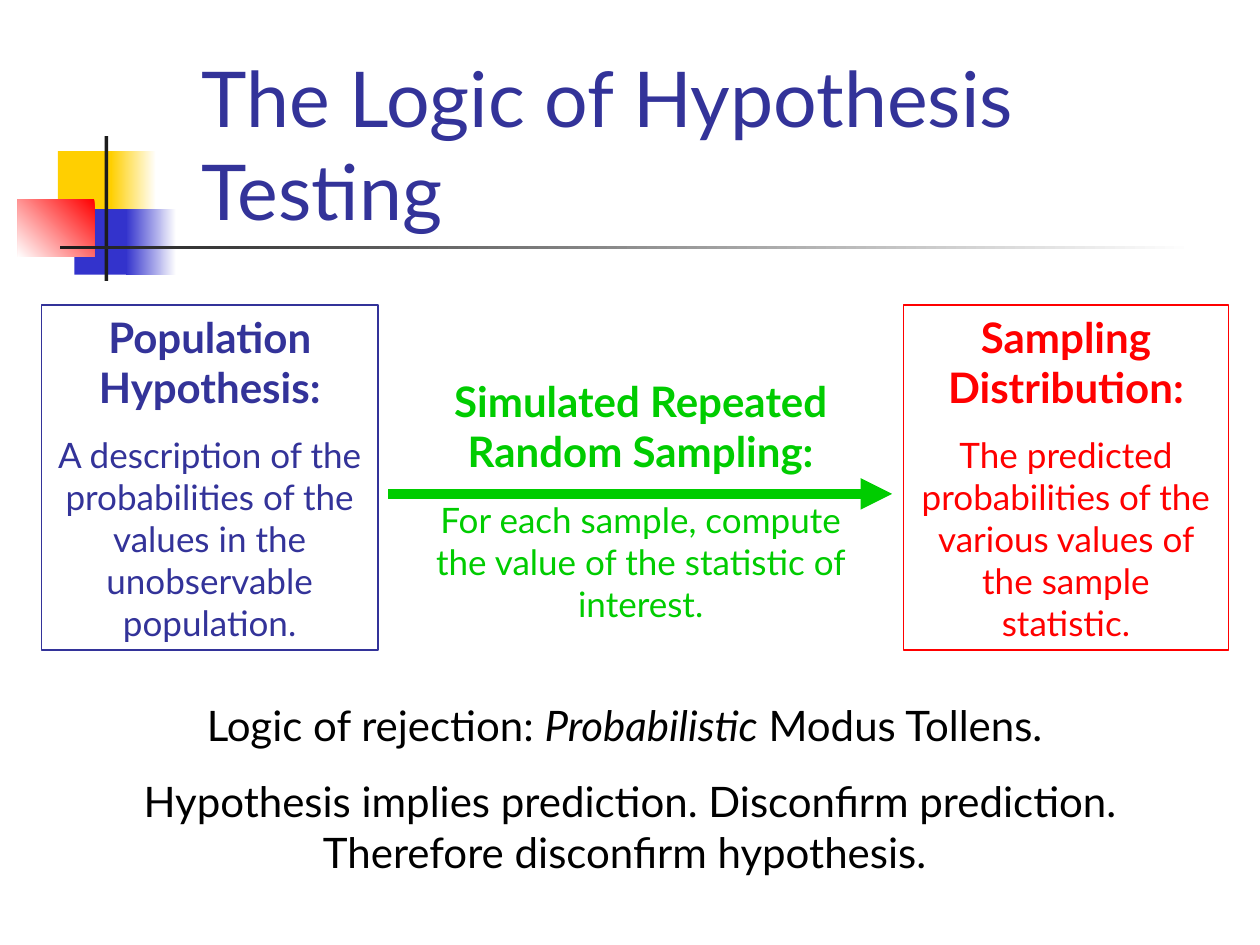
import pptx
import pptx.util
import pptx.dml.color
import pptx.enum.shapes
import pptx.enum.text
import pptx.oxml
import pptx.oxml.ns

Inches = pptx.util.Inches
Pt = pptx.util.Pt
RGBColor = pptx.dml.color.RGBColor
RECTANGLE = pptx.enum.shapes.MSO_SHAPE.RECTANGLE

FONT = "Lato"
INDIGO = RGBColor(0x33, 0x33, 0x99)
GREEN = RGBColor(0x00, 0xCC, 0x00)
RED = RGBColor(0xFF, 0x00, 0x00)
BLACK = RGBColor(0x00, 0x00, 0x00)
WHITE = RGBColor(0xFF, 0xFF, 0xFF)
YELLOW = RGBColor(0xFF, 0xCF, 0x01)
BLUE = RGBColor(0x33, 0x33, 0xCC)
CHARCOAL = RGBColor(0x1C, 0x1C, 0x1C)

TITLE = "The Logic of Hypothesis Testing"

# left, top, width, height; colours (one is solid, two a gradient); clockwise angle
ORNAMENTS = [
    ((0.46, 1.2, 0.48, 0.52), [YELLOW], 0),
    ((0.88, 1.2, 0.36, 0.52), [WHITE, YELLOW], 180),
    ((0.59, 1.66, 0.46, 0.52), [BLUE], 0),
    ((1, 1.66, 0.4, 0.52), [WHITE, BLUE], 180),
    ((0.14, 1.58, 0.61, 0.46), [RED, WHITE], 135),
    ((0.83, 1.08, 0.03, 1.15), [CHARCOAL], 0),
    ((0.48, 1.95, 9, 0.03), [WHITE, CHARCOAL], 180),
]

# place, colour, framed, heading, explanation
STEPS = [
    ((0.33, 2.42, 2.67, 2.74), INDIGO, True, "Population Hypothesis:",
     "A description of the probabilities of the values in the unobservable population."),
    ((3.25, 2.93, 3.67, 2.08), GREEN, False, "Simulated Repeated Random Sampling:",
     "For each sample, compute the value of the statistic of interest."),
    ((7.17, 2.42, 2.58, 2.74), RED, True, "Sampling Distribution:",
     "The predicted probabilities of the various values of the sample statistic."),
]
ARROW = (3.08, 3.92, 7.08, 3.92)

CONCLUSION_PLACE = (0.5, 5.5, 9, 1.51)
# paragraphs of (text, italic) runs
CONCLUSION = [
    [("Logic of rejection: ", False), ("Probabilistic", True), (" Modus Tollens. ", False)],
    [("Hypothesis implies prediction. Disconfirm prediction. "
      "Therefore disconfirm hypothesis. ", False)],
]


def inches(place):
    return [Inches(length) for length in place]


def add_run(paragraph, text, size, color, bold=False, italic=False):
    run = paragraph.add_run()
    run.text = text
    run.font.name = FONT
    run.font.size = Pt(size)
    run.font.color.rgb = color
    run.font.bold = bold
    run.font.italic = italic


def add_ornament(slide, place, colors, angle):
    ornament = slide.shapes.add_shape(RECTANGLE, *inches(place))
    ornament.shadow.inherit = False
    ornament.line.fill.background()
    if len(colors) == 1:
        ornament.fill.solid()
        ornament.fill.fore_color.rgb = colors[0]
        return
    ornament.fill.gradient()
    ornament.fill.gradient_angle = 360 - angle
    for stop, color in zip(ornament.fill.gradient_stops, colors):
        stop.color.rgb = color


def add_text_block(slide, place, paragraphs, frame_color=None):
    """Add centred text; paragraphs holds (space before, list of add_run arguments)."""
    if frame_color is None:
        block = slide.shapes.add_textbox(*inches(place))
    else:
        block = slide.shapes.add_shape(RECTANGLE, *inches(place))
        block.shadow.inherit = False
        block.fill.background()
        block.line.color.rgb = frame_color
        block.line.width = Pt(0.75)
    frame = block.text_frame
    frame.word_wrap = True
    frame.auto_size = pptx.enum.text.MSO_AUTO_SIZE.SHAPE_TO_FIT_TEXT
    frame.vertical_anchor = pptx.enum.text.MSO_ANCHOR.TOP
    for index, (space_before, runs) in enumerate(paragraphs):
        paragraph = frame.add_paragraph() if index else frame.paragraphs[0]
        paragraph.alignment = pptx.enum.text.PP_ALIGN.CENTER
        paragraph.space_before = Pt(space_before)
        for run in runs:
            add_run(paragraph, *run)


def add_arrow(slide, ends, color, width):
    arrow = slide.shapes.add_connector(
        pptx.enum.shapes.MSO_CONNECTOR.STRAIGHT, *inches(ends))
    arrow.line.color.rgb = color
    arrow.line.width = Pt(width)
    qn = pptx.oxml.ns.qn
    properties = arrow.element.find(qn("p:spPr"))
    head = properties.find(qn("a:ln")).makeelement(qn("a:tailEnd"), {"type": "triangle"})
    properties.find(qn("a:ln")).append(head)
    properties.append(properties.makeelement(qn("a:effectLst"), {}))


def main():
    presentation = pptx.Presentation()
    presentation.slide_width = Inches(10)
    presentation.slide_height = Inches(7.5)
    slide = presentation.slides.add_slide(presentation.slide_layouts[5])

    for ornament in ORNAMENTS:
        add_ornament(slide, *ornament)

    title = slide.shapes.title
    title.left, title.top, title.width, title.height = inches((1.5, 0.42, 7.58, 1.5))
    title.text_frame.word_wrap = True
    title.text_frame.auto_size = pptx.enum.text.MSO_AUTO_SIZE.NONE
    title.text_frame.vertical_anchor = pptx.enum.text.MSO_ANCHOR.BOTTOM
    heading = title.text_frame.paragraphs[0]
    heading.alignment = pptx.enum.text.PP_ALIGN.LEFT
    add_run(heading, TITLE, 44, INDIGO)

    for place, color, framed, step_name, explanation in STEPS:
        paragraphs = [(15, [(step_name, 24, color, True)]),
                      (12.5, [(explanation, 20, color)])]
        add_text_block(slide, place, paragraphs, color if framed else None)
    add_arrow(slide, ARROW, GREEN, 6)

    add_text_block(slide, CONCLUSION_PLACE, [
        (15, [(text, 24, BLACK, False, italic) for text, italic in runs])
        for runs in CONCLUSION])

    presentation.save("out.pptx")


if __name__ == "__main__":
    main()
